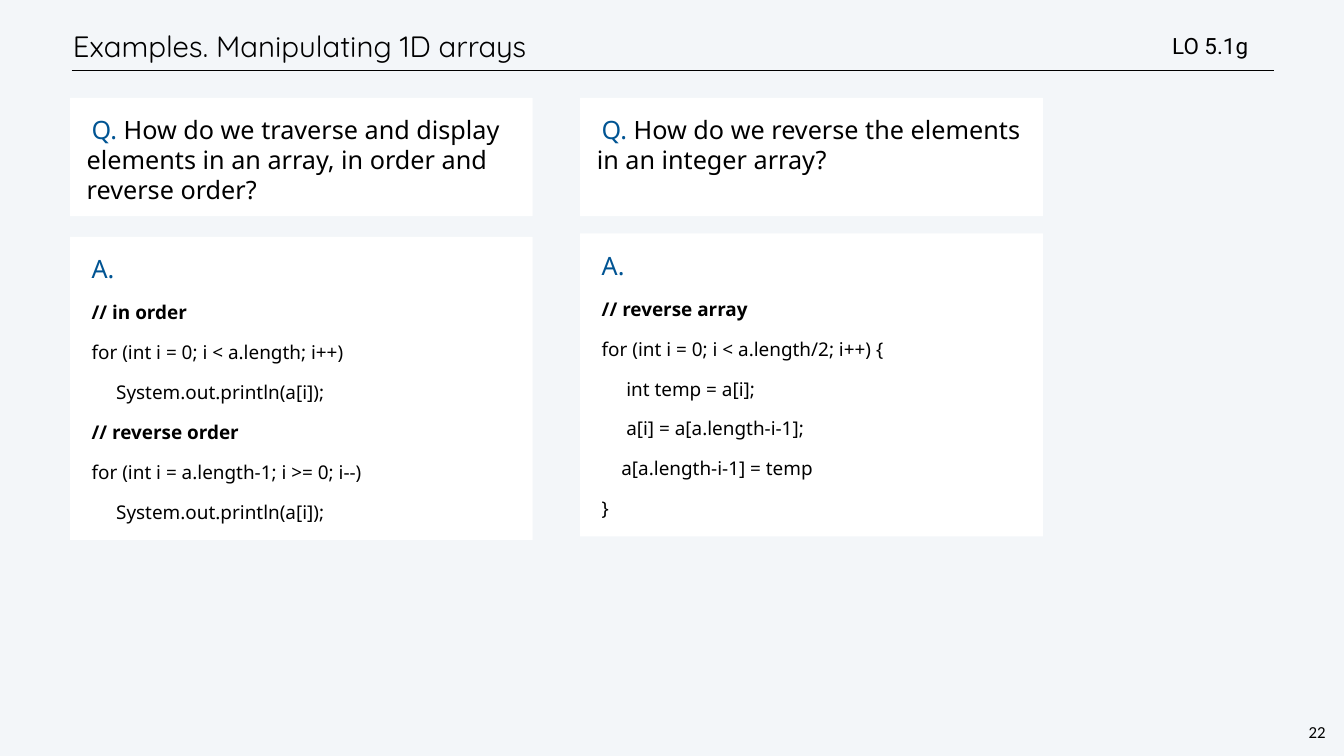
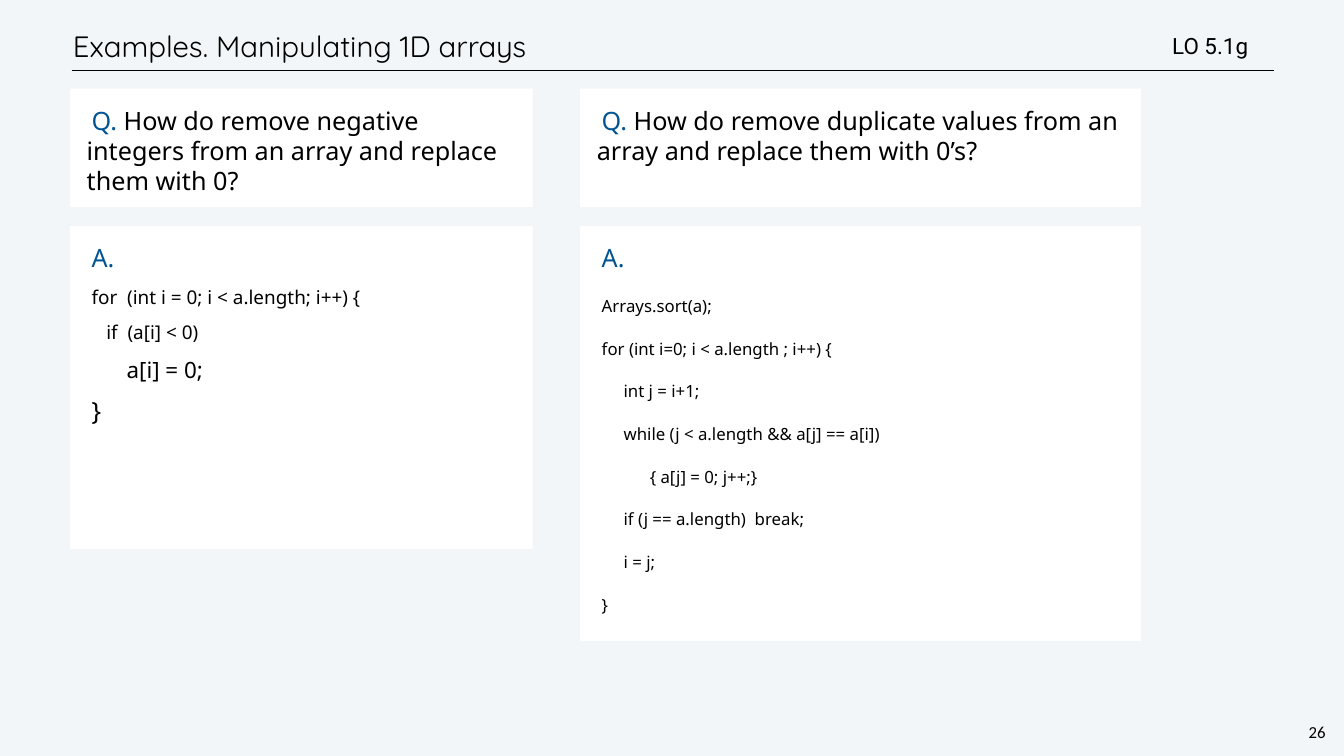
from pptx import Presentation
from pptx.dml.color import RGBColor
from pptx.enum.shapes import MSO_CONNECTOR as CONNECTOR, MSO_SHAPE as SHAPE
from pptx.enum.text import MSO_ANCHOR as ANCHOR, PP_ALIGN as ALIGN
from pptx.oxml.ns import qn
from pptx.util import Cm, Pt
from lxml.etree import SubElement

PAPER, CARD, INK, ACCENT = "F3F6F9", "FFFFFF", "000000", "005493"
TITLE_FONT, BODY_FONT, TAG_FONT, NUMBER_FONT = "Quicksand", "Noto Sans", "Roboto", "Calibri"
LEFT, RIGHT = 3.53, 29.24
QUESTION_HEIGHT = 5.97


def rgb(value):
    return RGBColor.from_string(value)


def write(p, text, size=36, font=BODY_FONT, color=INK, bold=False,
          leading=None, before=0, indent=0, align=ALIGN.LEFT):
    """Add a run to paragraph p and set the paragraph's format."""
    p._p.get_or_add_pPr().set("indent", str(Cm(indent)))
    p.alignment = align
    p.space_before = Pt(before)
    if leading:
        p.line_spacing = Pt(leading)
    r = p.add_run()
    r.text = text
    r.font.size, r.font.name, r.font.bold = Pt(size), font, bold
    r.font.color.rgb = rgb(color)


class Deck:
    """Holds the shared style and the slide being built."""

    def __init__(self):
        self.prs = Presentation()
        self.prs.slide_width, self.prs.slide_height = Cm(67.74), Cm(38.1)

    def slide(self, title, tag, number):
        self.s = self.prs.slides.add_slide(self.prs.slide_layouts[6])
        fill = self.s.background.fill
        fill.solid()
        fill.fore_color.rgb = rgb(PAPER)
        self.rule(3.61, 64.19, 3.56)
        self.label(title, LEFT, 1.07, 57.45, 2.51, size=42, font=TITLE_FONT, leading=50)
        self.label(tag, 58.93, 1.47, 7.59, 1.65, size=32, font=TAG_FONT)
        self.label(number, 65.84, 36.3, 1.09, 1.19, inset=0.1, wrap=False, anchor=ANCHOR.TOP,
                   size=24, font=NUMBER_FONT, leading=28, align=ALIGN.CENTER)

    def rule(self, x1, x2, y):
        line = self.s.shapes.add_connector(CONNECTOR.STRAIGHT, Cm(x1), Cm(y), Cm(x2), Cm(y))
        line.line.color.rgb = rgb(INK)
        line.line.width = Pt(1)
        SubElement(line._element.spPr, qn("a:effectLst"))

    def frame(self, sp, inset, anchor, wrap=True):
        tf = sp.text_frame
        tf.word_wrap, tf.vertical_anchor = wrap, anchor
        tf.margin_left = tf.margin_right = tf.margin_top = tf.margin_bottom = Cm(inset)
        return tf

    def label(self, text, x, y, w, h, inset=0.15, wrap=True, anchor=ANCHOR.MIDDLE, **style):
        sp = self.s.shapes.add_textbox(Cm(x), Cm(y), Cm(w), Cm(h))
        write(self.frame(sp, inset, anchor, wrap).paragraphs[0], text, **style)

    def card(self, mark, x, y, w, h):
        """Draw a white panel that opens with a coloured mark."""
        sp = self.s.shapes.add_shape(SHAPE.RECTANGLE, Cm(x), Cm(y), Cm(w), Cm(h))
        sp.shadow.inherit = False
        sp.fill.solid()
        sp.fill.fore_color.rgb = rgb(CARD)
        sp.line.fill.background()
        tf = self.frame(sp, 0.84, ANCHOR.TOP)
        write(tf.paragraphs[0], mark, color=ACCENT, leading=43, indent=0.25)
        return tf

    def question(self, text, x, y, w):
        tf = self.card("Q. ", x, y, w, QUESTION_HEIGHT)
        write(tf.paragraphs[0], text, leading=43, indent=0.25)

    def answer(self, code, x, y, w, h, size=27, leading=39):
        """Show code lines; a line may be (text, size, leading)."""
        tf = self.card("A.", x, y, w, h)
        for line in code:
            text, pt, pitch = (line, size, leading) if isinstance(line, str) else line
            write(tf.add_paragraph(), text, size=pt, bold=text.startswith("//"),
                  leading=pitch, before=18, indent=0.25)


TRAVERSE = [
    "// in order",
    "for (int i = 0; i < a.length; i++)",
    "     System.out.println(a[i]);",
    "// reverse order",
    "for (int i = a.length-1; i >= 0; i--)",
    "     System.out.println(a[i]);",
]
REVERSE = [
    "// reverse array",
    "for (int i = 0; i < a.length/2; i++) {",
    "     int temp = a[i];",
    "     a[i] = a[a.length-i-1];",
    "    a[a.length-i-1] = temp",
    "}",
]
REMOVE_NEGATIVES = [
    "for  (int i = 0; i < a.length; i++) {",
    "   if  (a[i] < 0)",
    ("      a[i] = 0;", 32, None),
    ("}", 36, 43),
]
REMOVE_DUPLICATES = [
    "Arrays.sort(a);",
    "for (int i=0; i < a.length ; i++) {",
    "     int j = i+1;",
    "     while (j < a.length && a[j] == a[i])",
    "           { a[j] = 0; j++;}",
    "     if (j == a.length)  break;",
    "     i = j;",
    "}",
]


def main():
    deck = Deck()
    title, tag = "Examples. Manipulating 1D arrays", "LO 5.1g"
    narrow, wide = 23.32, 28.27

    deck.slide(title, tag, "22")
    top = 4.93
    deck.question("How do we traverse and display elements in an array, in order and reverse order?",
                  LEFT, top, narrow)
    deck.answer(TRAVERSE, LEFT, 11.94, narrow, 15.27)
    deck.question("How do we reverse the elements in an integer array?", RIGHT, top, narrow)
    deck.answer(REVERSE, RIGHT, 11.76, narrow, 15.27)

    deck.slide(title, tag, "26")
    top, answer_top = 4.47, 11.4
    deck.question("How do remove negative integers from an array and replace them with 0?",
                  LEFT, top, narrow)
    deck.answer(REMOVE_NEGATIVES, LEFT, answer_top, narrow, 16.26, leading=None)
    deck.question("How do remove duplicate values from an array and replace them with 0’s?",
                  RIGHT, top, wide)
    deck.answer(REMOVE_DUPLICATES, RIGHT, answer_top, wide, 20.9, size=24, leading=43)

    deck.prs.save("out.pptx")


if __name__ == "__main__":
    main()
